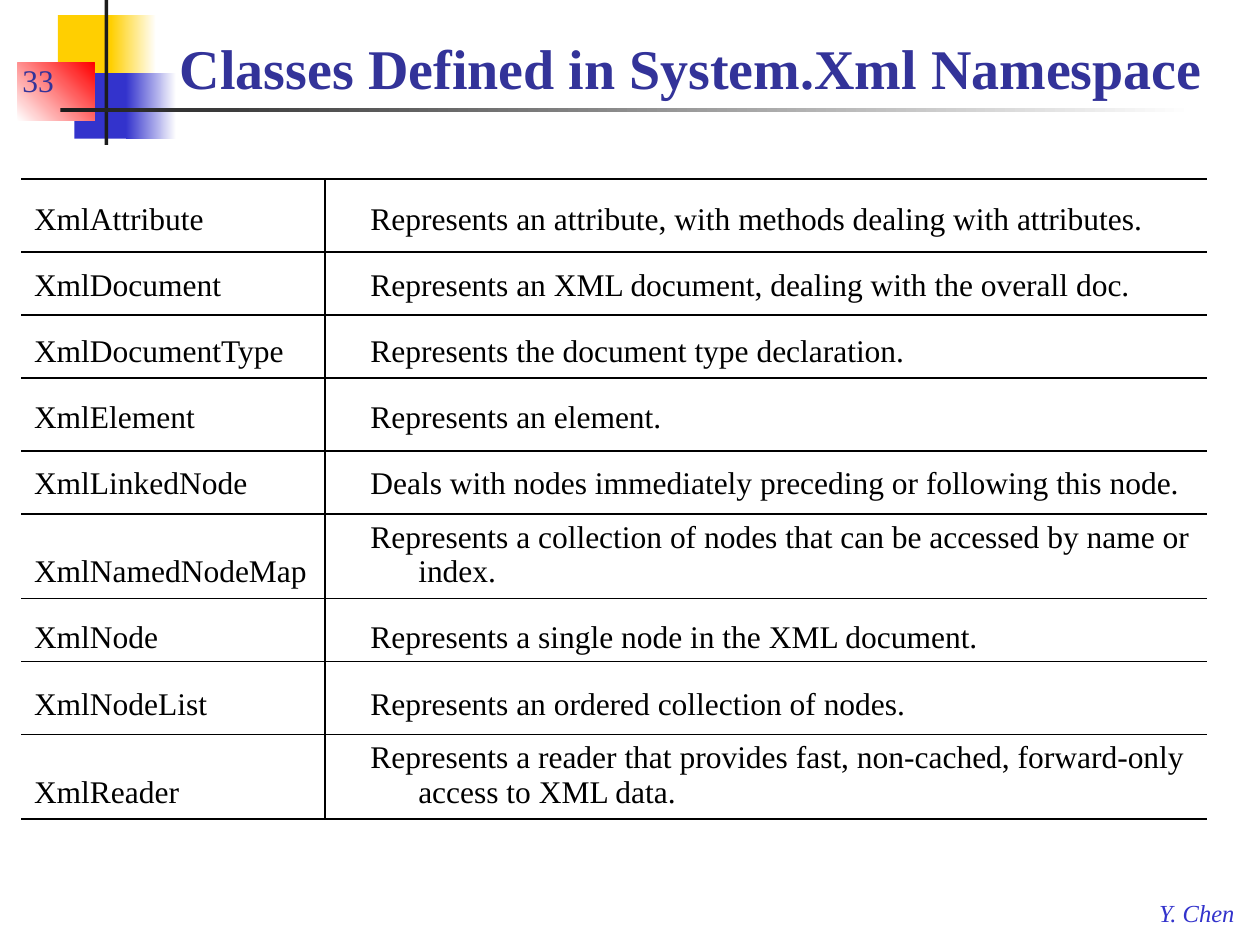
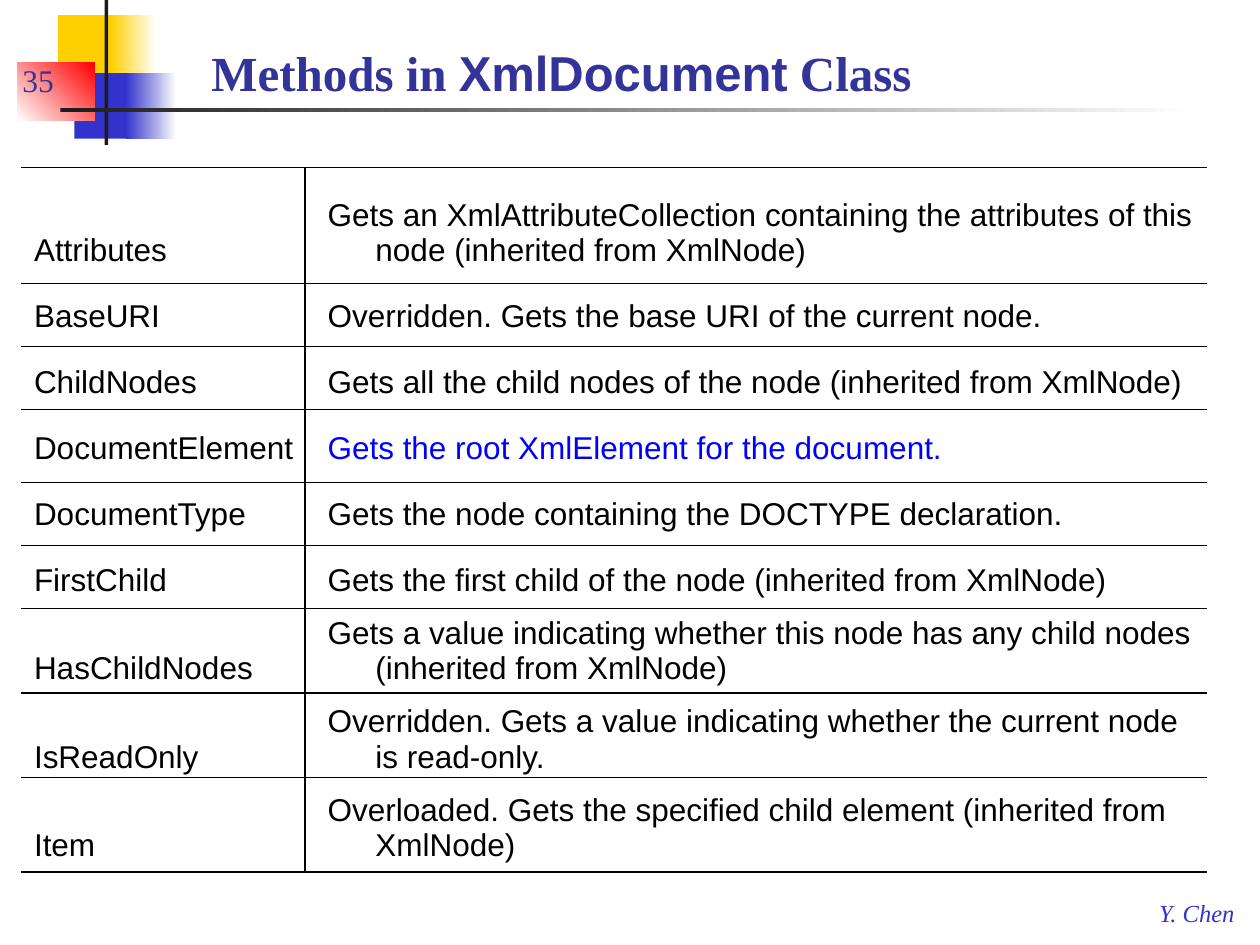
from dataclasses import dataclass

from lxml.etree import SubElement as Sub
from pptx import Presentation
from pptx.dml.color import RGBColor as Rgb
from pptx.enum.shapes import MSO_CONNECTOR as Link, MSO_SHAPE as Kind
from pptx.enum.text import MSO_ANCHOR as Anchor
from pptx.oxml.ns import qn
from pptx.util import Inches, Pt


@dataclass(frozen=True)
class Theme:
    white: str = "FFFFFF"
    black: str = "000000"
    dark: str = "1C1C1C"
    gold: str = "FFCF01"
    blue: str = "3333CC"
    red: str = "FF0000"
    navy: str = "333399"
    mark: str = "0000FF"
    serif: str = "Times New Roman"
    sans: str = "Arial"
    body: int = 18
    foot: int = 14
    rule: float = 0.75


T = Theme()
PLAIN = "{2D5ABB26-0587-4C30-8999-92F81FD0307C}"  # table style without grid
HANG = Inches(0.38)
FIRST, TALL = 1.18, 0.7  # heights of the top row and of two-line rows

CLASSES = [
    ("XmlAttribute", "Represents an attribute, with methods dealing with attributes."),
    ("XmlDocument", "Represents an XML document, dealing with the overall doc."),
    ("XmlDocumentType", "Represents the document type declaration."),
    ("XmlElement", "Represents an element."),
    ("XmlLinkedNode", "Deals with nodes immediately preceding or following this node."),
    ("XmlNamedNodeMap", "Represents a collection of nodes that can be accessed by name or index."),
    ("XmlNode", "Represents a single node in the XML document."),
    ("XmlNodeList", "Represents an ordered collection of nodes."),
    ("XmlReader", "Represents a reader that provides fast, non-cached, forward-only access to XML data."),
]
METHODS = [
    ("Attributes", "Gets an XmlAttributeCollection containing the attributes of this node (inherited from XmlNode)"),
    ("BaseURI", "Overridden. Gets the base URI of the current node."),
    ("ChildNodes", "Gets all the child nodes of the node (inherited from XmlNode)"),
    ("DocumentElement", "Gets the root XmlElement for the document."),
    ("DocumentType", "Gets the node containing the DOCTYPE declaration."),
    ("FirstChild", "Gets the first child of the node (inherited from XmlNode)"),
    ("HasChildNodes", "Gets a value indicating whether this node has any child nodes (inherited from XmlNode)"),
    ("IsReadOnly", "Overridden. Gets a value indicating whether the current node is read-only."),
    ("Item", "Overloaded. Gets the specified child element (inherited from XmlNode)"),
]


def style(para, size, color, face=None, bold=None, slant=None):
    font = para.font
    font.size, font.bold, font.italic = Pt(size), bold, slant
    font.color.rgb = Rgb.from_string(color)
    if face:
        font.name = face


def block(slide, box, color, end=None, angle=0):
    """Rectangle with a plain fill, or a blend from color to end."""
    shape = slide.shapes.add_shape(Kind.RECTANGLE, *map(Inches, box))
    shape.shadow.inherit = False
    shape.line.fill.background()
    if end:
        shape.fill.gradient()
        shape.fill.gradient_angle = angle
        for stop, tone in zip(shape.fill.gradient_stops, (color, end)):
            stop.color.rgb = Rgb.from_string(tone)
    else:
        shape.fill.solid()
        shape.fill.fore_color.rgb = Rgb.from_string(color)


def label(slide, box, text, anchor=Anchor.BOTTOM, wrap=True, **look):
    """Text box; text is a string or a list of (words, face) runs."""
    frame = slide.shapes.add_textbox(*map(Inches, box)).text_frame
    frame.word_wrap, frame.vertical_anchor = wrap, anchor
    para = frame.paragraphs[0]
    style(para, **look)
    if isinstance(text, str):
        para.add_run().text = text
        return
    for words, face in text:
        run = para.add_run()
        run.text, run.font.name = words, face


def line(slide, x1, y1, x2, y2):
    link = slide.shapes.add_connector(Link.STRAIGHT, *map(Inches, (x1, y1, x2, y2)))
    link.line.width = Pt(T.rule)
    link.line.color.rgb = Rgb.from_string(T.black)
    Sub(link.element.spPr, qn("a:effectLst"))


def motif(slide, left, top):
    """Coloured squares with the crossing bars."""
    for dx, dy, wide, high, *fill in (
        (0.32, 0.12, 0.48, 0.52, T.gold),
        (0.74, 0.12, 0.36, 0.52, T.gold, T.white),
        (0.45, 0.58, 0.46, 0.52, T.blue),
        (0.86, 0.58, 0.4, 0.52, T.blue, T.white),
        (0, 0.5, 0.61, 0.46, T.white, T.red, 45),
        (0.69, 0, 0.03, 1.15, T.dark),
        (0.34, 0.86, 9, 0.03, T.dark, T.white),
    ):
        block(slide, (left + dx, top + dy, wide, high), *fill)


def base(deck, number, title, left, size):
    """Blank slide with motif, footer, number and title."""
    slide = deck.slides.add_slide(deck.slide_layouts[6])
    motif(slide, 0.14, 0)
    label(slide, (9.1, 7.08, 0.82, 0.33), "Y. Chen", Anchor.TOP, False,
          size=T.foot, color=T.blue, face=T.serif, slant=True)
    label(slide, (0.08, 0.33, 2.08, 0.5), str(number),
          size=T.body, color=T.navy, face=T.serif)
    label(slide, (left, 0.17, 9.91 - left, 0.68), title,
          size=size, color=T.navy, bold=True)
    return slide


def grid(slide, box, split, rows, tall, face, mark=None):
    """Two-column table; one-line rows share the height left over."""
    shape = slide.shapes.add_table(len(rows), 2, *map(Inches, box))
    shape.element.find(".//" + qn("a:tableStyleId")).text = PLAIN
    table = shape.table
    table.first_row = table.horz_banding = False
    for col, wide in zip(table.columns, (split, box[2] - split)):
        col.width = Inches(wide)
    short = (box[3] - FIRST - TALL * len(tall)) / (len(rows) - 1 - len(tall))
    for i, pair in enumerate(rows):
        high = FIRST if i == 0 else TALL if i in tall else short
        table.rows[i].height = Inches(high)
        for j, text in enumerate(pair):
            cell = table.cell(i, j)
            cell.fill.background()
            cell.vertical_anchor = Anchor.BOTTOM
            para = cell.text_frame.paragraphs[0]
            para.add_run().text = text
            props = para._p.get_or_add_pPr()
            props.set("marL", str(HANG))
            props.set("indent", str(-HANG))
            style(para, T.body, T.mark if (i, j) == mark else T.black, face)


def rules(slide, left, right, split, levels):
    """Lines between the rows, and one between the columns."""
    for y in levels:
        line(slide, left, y, right, y)
    line(slide, split, levels[0], split, levels[-1])


def main():
    deck = Presentation()
    deck.slide_width, deck.slide_height = Inches(10), Inches(7.5)

    # Classes
    slide = base(deck, 33, [("Classes Defined in System.Xml Namespace", T.serif)], 1.33, 32)
    grid(slide, (0.17, 0.75, 9.42, 5.73), 2.67, CLASSES, {5, 8}, T.serif)
    rules(slide, 0.17, 9.58, 2.58,
          (1.42, 2, 2.5, 3, 3.58, 4.08, 4.75, 5.25, 5.83, 6.5))

    # Methods
    title = [("Methods in ", T.serif), ("XmlDocument", T.sans), (" Class", T.serif)]
    slide = base(deck, 35, title, 1.58, 28)
    grid(slide, (0.17, 1, 9.42, 5.9), 2.33, METHODS, {6, 7, 8}, T.sans, mark=(3, 1))
    rules(slide, 0.17, 9.58, 2.42,
          (1.33, 2.25, 2.75, 3.25, 3.83, 4.33, 4.83, 5.5, 6.17, 6.92))

    deck.save("out.pptx")


if __name__ == "__main__":
    main()
